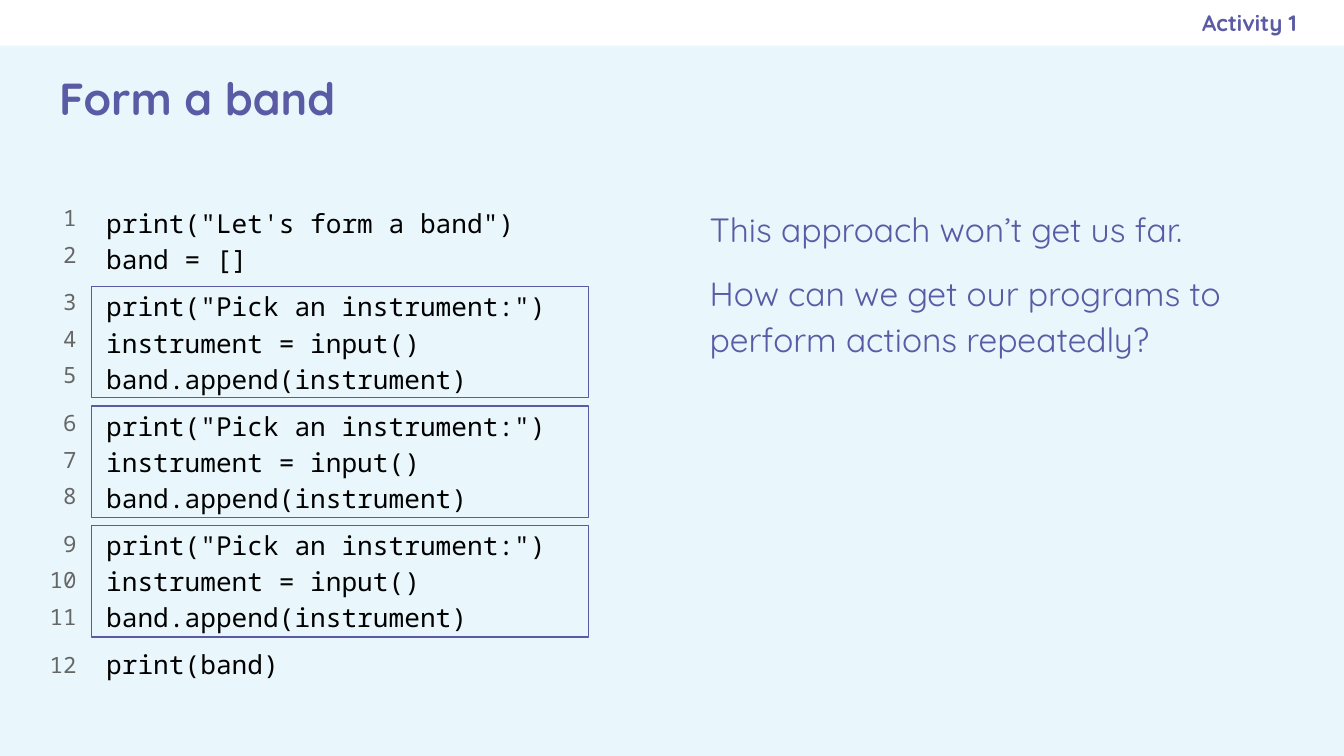
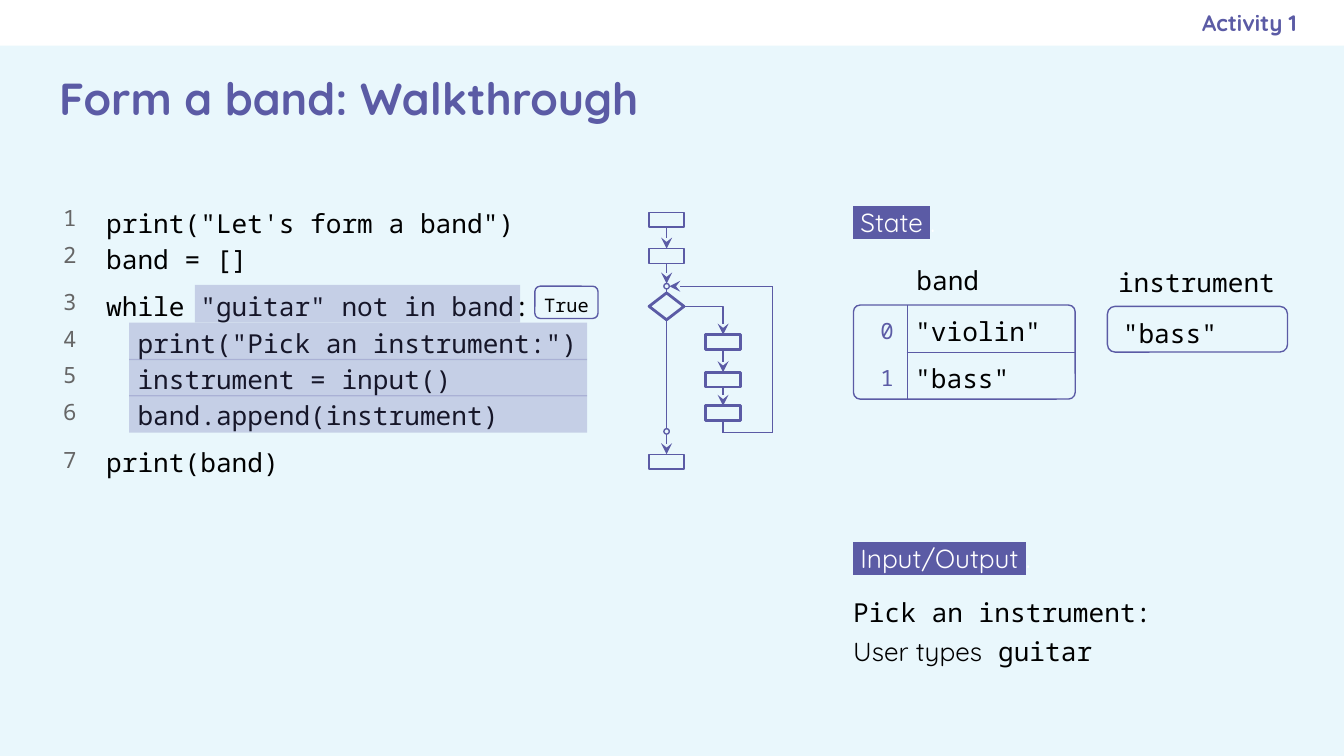
from lxml import etree
from pptx import Presentation
from pptx.dml.color import RGBColor
from pptx.enum.shapes import MSO_CONNECTOR, MSO_SHAPE
from pptx.enum.text import MSO_ANCHOR, MSO_AUTO_SIZE, PP_ALIGN
from pptx.oxml.ns import qn
from pptx.util import Pt

PX = 9144
WIDTH, HEIGHT = 1000, 562.5
BAND_HEIGHT = 34

PURPLE = RGBColor(0x5B, 0x5B, 0xA5)
PALE = RGBColor(0xE9, 0xF7, 0xFC)
WHITE = RGBColor(0xFF, 0xFF, 0xFF)
BLACK = RGBColor(0x00, 0x00, 0x00)
GREY = RGBColor(0x66, 0x66, 0x66)

SANS, MONO = "Quicksand", "Noto Sans Mono"
RECT, ROUND = MSO_SHAPE.RECTANGLE, MSO_SHAPE.ROUNDED_RECTANGLE
OVAL, DECISION = MSO_SHAPE.OVAL, MSO_SHAPE.FLOWCHART_DECISION
STRAIGHT, ELBOW = MSO_CONNECTOR.STRAIGHT, MSO_CONNECTOR.ELBOW
LEFT, CENTER, RIGHT = PP_ALIGN.LEFT, PP_ALIGN.CENTER, PP_ALIGN.RIGHT
TOP, MIDDLE = MSO_ANCHOR.TOP, MSO_ANCHOR.MIDDLE
NO_AUTOSIZE = MSO_AUTO_SIZE.NONE

COMPARISON_LAYOUT = 4
ACTIVITY, CODE, REMARKS = 1, 2, 3
LABEL_INSETS = (10, 10, 6, 10)

INTRO = ['print("Let\'s form a band")', "band = []"]
PICK = ['print("Pick an instrument:")', "instrument = input()",
        "band.append(instrument)"]
OUTRO = ["print(band)"]


def px(*lengths):
    """Turn px lengths into EMU."""
    return [round(n * PX) for n in lengths]


def add_run(p, text, size=14, font=SANS, color=BLACK, bold=False, highlight=None):
    """Add one formatted run to a paragraph."""
    r = p.add_run()
    r.text = text
    r.font.size, r.font.bold = Pt(size), bold
    r.font.color.rgb = color
    if highlight is not None:
        mark = etree.SubElement(r.font._element, qn("a:highlight"))
        etree.SubElement(mark, qn("a:srgbClr"), val=str(highlight))
    r.font.name = font


def write(s, paragraphs, align=LEFT, anchor=TOP, insets=(10, 10, 10, 10),
          spacing=1.0, before=(), after=(), **font):
    """Fill a shape or cell with paragraphs of text or (text, format) runs."""
    tf = s.text_frame
    box = s if hasattr(s, "margin_left") else tf
    box.margin_left, box.margin_top, box.margin_right, box.margin_bottom = px(*insets)
    box.vertical_anchor = anchor
    tf.word_wrap, tf.auto_size = True, NO_AUTOSIZE
    for i, content in enumerate(paragraphs):
        p = tf.add_paragraph() if i else tf.paragraphs[0]
        p.alignment, p.line_spacing = align, spacing
        p.space_before = Pt(before[i] if before else 0)
        p.space_after = Pt(after[i] if after else 0)
        if getattr(s, "is_placeholder", False):
            pPr = p._p.get_or_add_pPr()
            pPr.set("marL", "0")
            pPr.set("indent", "0")
            etree.SubElement(pPr, qn("a:buNone"))
        runs = [(content, {})] if isinstance(content, str) else content
        for text, extra in runs:
            add_run(p, text, **{**font, **extra})


def place(s, at):
    """Move a placeholder and return it."""
    s.left, s.top, s.width, s.height = px(*at)
    return s


def text_box(slide, at, paragraphs, **fmt):
    """Add a text box."""
    write(slide.shapes.add_textbox(*px(*at)), paragraphs, **fmt)


def outline(slide, kind, at, weight=0.75, radius=None):
    """Add an unfilled purple shape."""
    s = slide.shapes.add_shape(kind, *px(*at))
    s.shadow.inherit = False
    s.fill.background()
    s.line.color.rgb, s.line.width = PURPLE, Pt(weight)
    if radius is not None:
        s.adjustments[0] = radius
    return s


def block(slide, at, color, opacity=None):
    """Add a filled rectangle without a line and return it."""
    s = slide.shapes.add_shape(RECT, *px(*at))
    s.shadow.inherit = False
    s.fill.solid()
    s.fill.fore_color.rgb = color
    s.line.fill.background()
    if opacity is not None:
        clr = s._element.spPr.find(".//" + qn("a:srgbClr"))
        etree.SubElement(clr, qn("a:alpha"), val=str(opacity * 1000))
    return s


def connect(slide, start, end, arrow=True, kind=STRAIGHT):
    """Link two ends, each an (x, y) point or a (shape, site) pair."""
    joined = [not isinstance(e[0], int) for e in (start, end)]
    points = [(0, 0) if j else e for j, e in zip(joined, (start, end))]
    c = slide.shapes.add_connector(kind, *px(*points[0], *points[1]))
    if joined[0]:
        c.begin_connect(*start)
    if joined[1]:
        c.end_connect(*end)
    c.line.color.rgb, c.line.width = PURPLE, Pt(0.75)
    spPr = c._element.spPr
    if kind == ELBOW:
        spPr.find(qn("a:prstGeom")).set("prst", "bentConnector2")
    if arrow:
        etree.SubElement(c.line._get_or_add_ln(), qn("a:tailEnd"), type="stealth")
    etree.SubElement(spPr, qn("a:effectLst"))


def code_listing(slide, groups, width, height):
    """Write numbered code with a gap before every group but the first."""
    lines = [line for group in groups for line in group]
    gaps = [6 if g and not i else 0
            for g, group in enumerate(groups) for i in range(len(group))]
    write(place(slide.placeholders[CODE], (69, 141, width, height)), lines,
          font=MONO, spacing=1.15, before=gaps)
    text_box(slide, (35, 143, 22, height),
             [str(n) for n in range(1, len(lines) + 1)], align=RIGHT,
             insets=(0, 6, 0, 10), spacing=1.15, before=[g + 3 for g in gaps],
             size=12, font=MONO, color=GREY)


def mono_text(slide, at, text):
    """Add one line of code-style text."""
    text_box(slide, at, [text], font=MONO, spacing=1.15)


def section_label(slide, top, text):
    """Add a highlighted section label."""
    text_box(slide, (625, top, 178, 40),
             [[(f" {text} ", {"highlight": PURPLE}), (".", {})]],
             insets=LABEL_INSETS, spacing=1.14, color=WHITE)


def cell_borders(cell, sides):
    """Draw the named cell sides and clear the others."""
    tcPr = cell._tc.get_or_add_tcPr()
    for side in "LRTB":
        ln = etree.SubElement(tcPr, qn(f"a:ln{side}"), w=str(Pt(0.75)))
        if side in sides:
            fill = etree.SubElement(ln, qn("a:solidFill"))
            etree.SubElement(fill, qn("a:srgbClr"), val=str(PURPLE))
        else:
            etree.SubElement(ln, qn("a:noFill"))
    cell.fill.background()


def list_table(slide, at, values):
    """Show a list as a table of indexes and values in a rounded frame."""
    outline(slide, ROUND, at, radius=0.071)
    table = slide.shapes.add_table(len(values), 2, *px(*at)).table
    table.first_row = table.horz_banding = False
    table.columns[0].width, table.columns[1].width = px(40, at[2] - 40)
    for i, value in enumerate(values):
        index_cell, value_cell = table.cell(i, 0), table.cell(i, 1)
        cell_borders(index_cell, "R")
        inner = ("T" if i else "") + ("B" if i < len(values) - 1 else "")
        cell_borders(value_cell, "L" + inner)
        fmt = dict(anchor=MIDDLE, insets=(6, 0, 10, 0), spacing=1.15, font=MONO)
        write(index_cell, [str(i)], align=RIGHT, size=12, color=PURPLE, **fmt)
        write(value_cell, [value], **fmt)


def flowchart(slide):
    """Draw the flowchart of the while loop."""
    first, second, last = [outline(slide, RECT, (483, y, 26, 11))
                           for y in (158, 185, 338)]
    steps = [outline(slide, RECT, (525, y, 26, 11), 1.5) for y in (249, 277, 302)]
    test = outline(slide, DECISION, (483, 218, 26, 20), 1.5)
    for y in (211, 319):
        outline(slide, OVAL, (494, y, 4, 4))
    connect(slide, (first, 2), (second, 0))
    connect(slide, (second, 2), (496, 211))
    connect(slide, (496, 215), (test, 0), arrow=False)
    connect(slide, (test, 2), (496, 319), arrow=False)
    connect(slide, (496, 323), (last, 0))
    connect(slide, (test, 3), (steps[0], 0), kind=ELBOW)
    for above, below in zip(steps, steps[1:]):
        connect(slide, (above, 2), (below, 0))
    loop_back = [(steps[-1], 2), (538, 322), (575, 322), (575, 213), (498, 213)]
    for start, end in zip(loop_back, loop_back[1:]):
        connect(slide, start, end, arrow=end == loop_back[-1])


def new_slide(prs, title):
    """Add a slide with the shared band, title and activity label."""
    slide = prs.slides.add_slide(prs.slide_layouts[COMPARISON_LAYOUT])
    band = block(slide, (0, 0, WIDTH, BAND_HEIGHT), WHITE)
    slide.shapes._spTree.insert(2, band._element)
    write(place(slide.shapes.title, (34, BAND_HEIGHT, 932, 77)), [title],
          anchor=MIDDLE, size=24, color=PURPLE, bold=True)
    write(place(slide.placeholders[ACTIVITY], (575, 0, 390, BAND_HEIGHT)),
          ["Activity 1"], align=RIGHT, anchor=MIDDLE, insets=(10, 10, 0, 10),
          size=12, color=PURPLE, bold=True)
    return slide


def remove_empty(slide):
    """Remove the placeholders left without text."""
    for s in list(slide.placeholders):
        if not s.text_frame.text:
            s._element.getparent().remove(s._element)


def repetition_slide(prs):
    """Build the slide with the repeated code."""
    slide = new_slide(prs, "Form a band")
    write(place(slide.placeholders[REMARKS], (518, 141, 447, 242)),
          ["This approach won’t get us far.",
           "How can we get our programs to perform actions repeatedly?"],
          insets=LABEL_INSETS, spacing=1.14, before=(0, 10), after=(0, 10),
          size=18, color=PURPLE)
    code_listing(slide, [INTRO, PICK, PICK, PICK, OUTRO], 390, 371)
    for i in range(3):
        outline(slide, RECT, (68, 213 + 89 * i, 370, 83))
    remove_empty(slide)


def walkthrough_slide(prs):
    """Build the slide that steps through the while loop."""
    slide = new_slide(prs, "Form a band: Walkthrough")
    loop = ['while "guitar" not in band:'] + ["  " + line for line in PICK]
    code_listing(slide, [INTRO, loop, OUTRO], 372, 226)
    flowchart(slide)

    block(slide, (145, 212, 242, 28), PURPLE, 25)
    for i in range(len(PICK)):
        block(slide, (96, 240 + 27 * i, 341, 28), PURPLE, 25)
    result = outline(slide, ROUND, (398, 213, 47, 24), radius=0.167)
    write(result, ["True"], align=CENTER, anchor=MIDDLE, insets=(0, 2, 0, 0),
          spacing=1.15, size=10, font=MONO)

    section_label(slide, 140, "State")
    mono_text(slide, (672, 183, 151, 40), "band")
    list_table(slide, (635, 227, 165, 70), ['"violin"', '"bass"'])
    mono_text(slide, (822, 185, 138, 40), "instrument")
    variable = outline(slide, ROUND, (824, 228, 134, 34), radius=0.167)
    write(variable, ['"bass"'], anchor=MIDDLE, insets=(10, 2, 10, 0),
          spacing=1.15, font=MONO)

    section_label(slide, 390, "Input/Output")
    mono_text(slide, (625, 430, 341, 40), "Pick an instrument:")
    text_box(slide, (625, 459, 266, 40),
             [[("User types", {}), (" guitar", {"font": MONO})]], spacing=1.15)
    remove_empty(slide)


def main():
    """Build and save the presentation."""
    prs = Presentation()
    prs.slide_width, prs.slide_height = px(WIDTH, HEIGHT)
    background = prs.slide_master.background.fill
    background.solid()
    background.fore_color.rgb = PALE
    repetition_slide(prs)
    walkthrough_slide(prs)
    prs.save("out.pptx")


if __name__ == "__main__":
    main()
